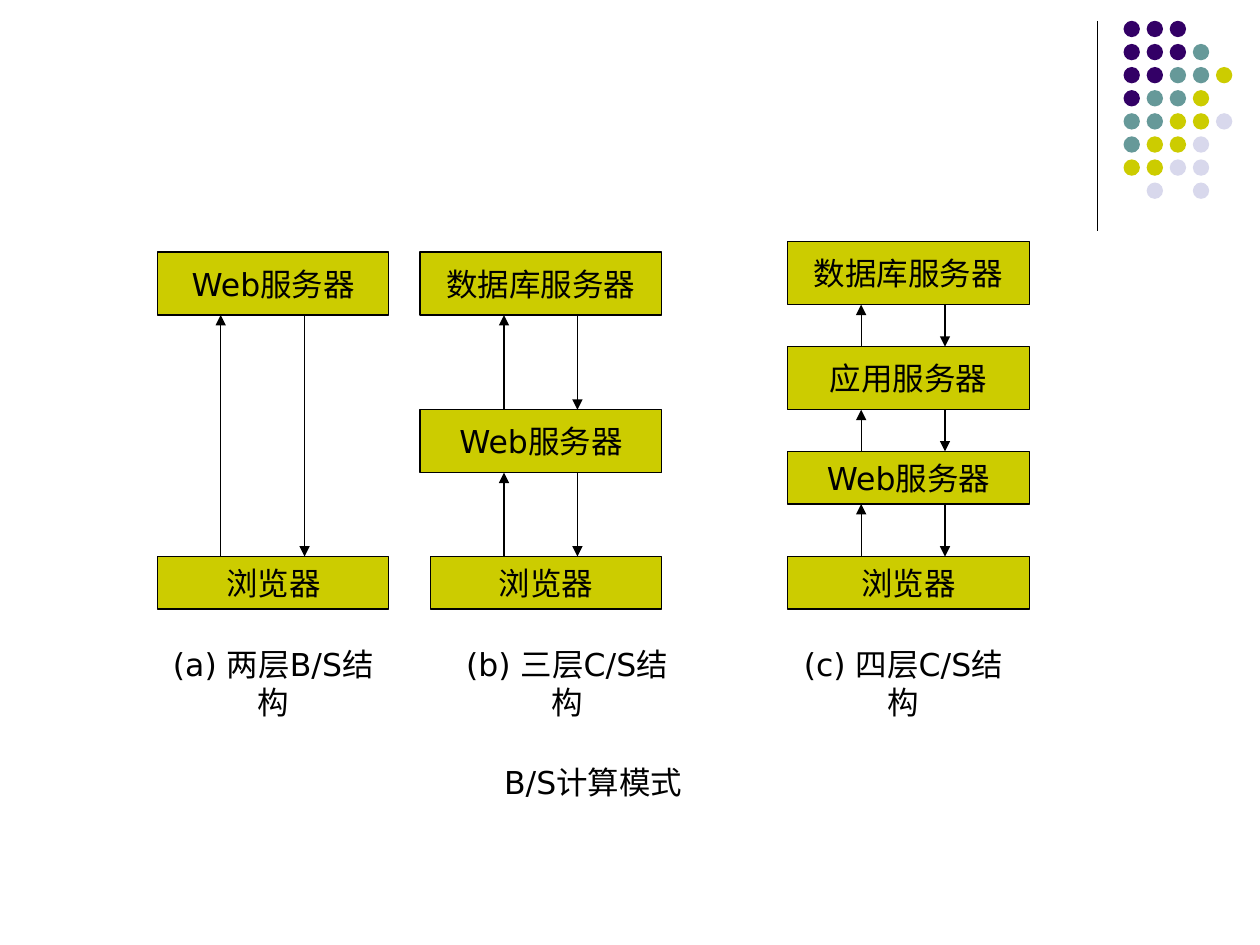
from itertools import pairwise

from lxml.etree import SubElement
from pptx import Presentation
from pptx.dml.color import RGBColor
from pptx.enum.shapes import MSO_CONNECTOR, MSO_SHAPE
from pptx.enum.text import MSO_ANCHOR, PP_ALIGN
from pptx.oxml.ns import qn
from pptx.util import Cm, Pt

FONT = "DejaVu Sans"
BLACK = "000000"
BOX_FILL = "CCCC00"
DOT_SIZE = 0.33
DOT_COLORS = {"p": "330066", "t": "669999", "y": "CCCC00", "l": "D8D8EC"}
DOT_ROWS = ["ppp", "pppt", "pptty", "ptty", "ttyyl", "tyyl", "yyll", " l l"]
CAPTION_WIDTH, CAPTION_HEIGHT = 5.08, 0.85

# Each tier: label, top within the column, height, indent from the left
COLUMNS = [
    dict(box=(3.18, 5.08, 4.66, 9.11), caption="(a) 两层B/S结构",
         caption_shift=-0.21, arrows=(1.27, 2.96),
         tiers=[("Web服务器", 0, 1.27, 0), ("浏览器", 6.14, 1.06, 0)]),
    dict(box=(8.47, 5.08, 4.87, 9.11), caption="(b) 三层C/S结构",
         caption_shift=0.42, arrows=(1.69, 3.17),
         tiers=[("数据库服务器", 0, 1.27, 0), ("Web服务器", 3.18, 1.27, 0),
                ("浏览器", 6.14, 1.06, 0.21)]),
    dict(box=(15.88, 4.87, 4.87, 9.32), caption="(c) 四层C/S结构",
         caption_shift=-0.21, arrows=(1.48, 3.17),
         tiers=[("数据库服务器", 0, 1.27, 0), ("应用服务器", 2.12, 1.27, 0),
                ("Web服务器", 4.23, 1.06, 0), ("浏览器", 6.35, 1.06, 0)]),
]


def color(hex_string):
    return RGBColor.from_string(hex_string)


def write_label(shape, text):
    frame = shape.text_frame
    frame.word_wrap = False
    frame.vertical_anchor = MSO_ANCHOR.MIDDLE
    paragraph = frame.paragraphs[0]
    paragraph.alignment = PP_ALIGN.CENTER
    run = paragraph.add_run()
    run.text = text
    run.font.name = FONT
    run.font.size = Pt(18)
    run.font.color.rgb = color(BLACK)


def add_label(slide, box, text):
    write_label(slide.shapes.add_textbox(*map(Cm, box)), text)


def add_tier(slide, box, text):
    shape = slide.shapes.add_shape(MSO_SHAPE.RECTANGLE, *map(Cm, box))
    shape.shadow.inherit = False
    shape.fill.solid()
    shape.fill.fore_color.rgb = color(BOX_FILL)
    shape.line.color.rgb = color(BLACK)
    shape.line.width = Pt(0.75)
    write_label(shape, text)


def add_line(slide, x, start, end, arrow=False):
    """Draw a vertical line, with an optional arrowhead at its end."""
    connector = slide.shapes.add_connector(
        MSO_CONNECTOR.STRAIGHT, Cm(x), Cm(start), Cm(x), Cm(end))
    connector.line.color.rgb = color(BLACK)
    connector.line.width = Pt(0.75)
    if arrow:
        SubElement(connector.line._get_or_add_ln(), qn("a:tailEnd"), type="triangle")
    SubElement(connector._element.spPr, qn("a:effectLst"))


def add_dot_ornament(slide, left, top, height):
    pitch = (height - DOT_SIZE) / (len(DOT_ROWS) - 1)
    group = slide.shapes.add_group_shape()
    for row, keys in enumerate(DOT_ROWS):
        for column, key in enumerate(keys):
            if key not in DOT_COLORS:
                continue
            dot = group.shapes.add_shape(
                MSO_SHAPE.OVAL, Cm(left + column * pitch), Cm(top + row * pitch),
                Cm(DOT_SIZE), Cm(DOT_SIZE))
            dot.shadow.inherit = False
            dot.fill.solid()
            dot.fill.fore_color.rgb = color(DOT_COLORS[key])
            dot.line.fill.background()


def add_column(slide, box, tiers, arrows, caption, caption_shift):
    left, top, width, height = box
    for text, offset, tier_height, indent in tiers:
        add_tier(slide, (left + indent, top + offset, width - indent, tier_height), text)

    # A request arrow up and a reply arrow down in every gap
    up, down = arrows
    for (_, offset, tier_height, _), (_, next_offset, _, _) in pairwise(tiers):
        gap_top, gap_bottom = top + offset + tier_height, top + next_offset
        add_line(slide, left + up, gap_bottom, gap_top, arrow=True)
        add_line(slide, left + down, gap_top, gap_bottom, arrow=True)

    # Caption along the bottom of the column
    add_label(slide, (left + caption_shift, top + height - CAPTION_HEIGHT,
                      CAPTION_WIDTH, CAPTION_HEIGHT), caption)


def main():
    presentation = Presentation()
    presentation.slide_width, presentation.slide_height = Cm(25.4), Cm(19.05)
    slide = presentation.slides.add_slide(presentation.slide_layouts[6])

    # Corner decoration
    add_line(slide, 22.12, 0.42, 4.66)
    add_dot_ornament(slide, 22.65, 0.42, 3.59)

    # Architectures side by side
    for column in COLUMNS:
        add_column(slide, **column)

    # Figure title
    add_label(slide, (8.68, 15.24, 6.56, 1.06), "B/S计算模式")
    presentation.save("out.pptx")


if __name__ == "__main__":
    main()
